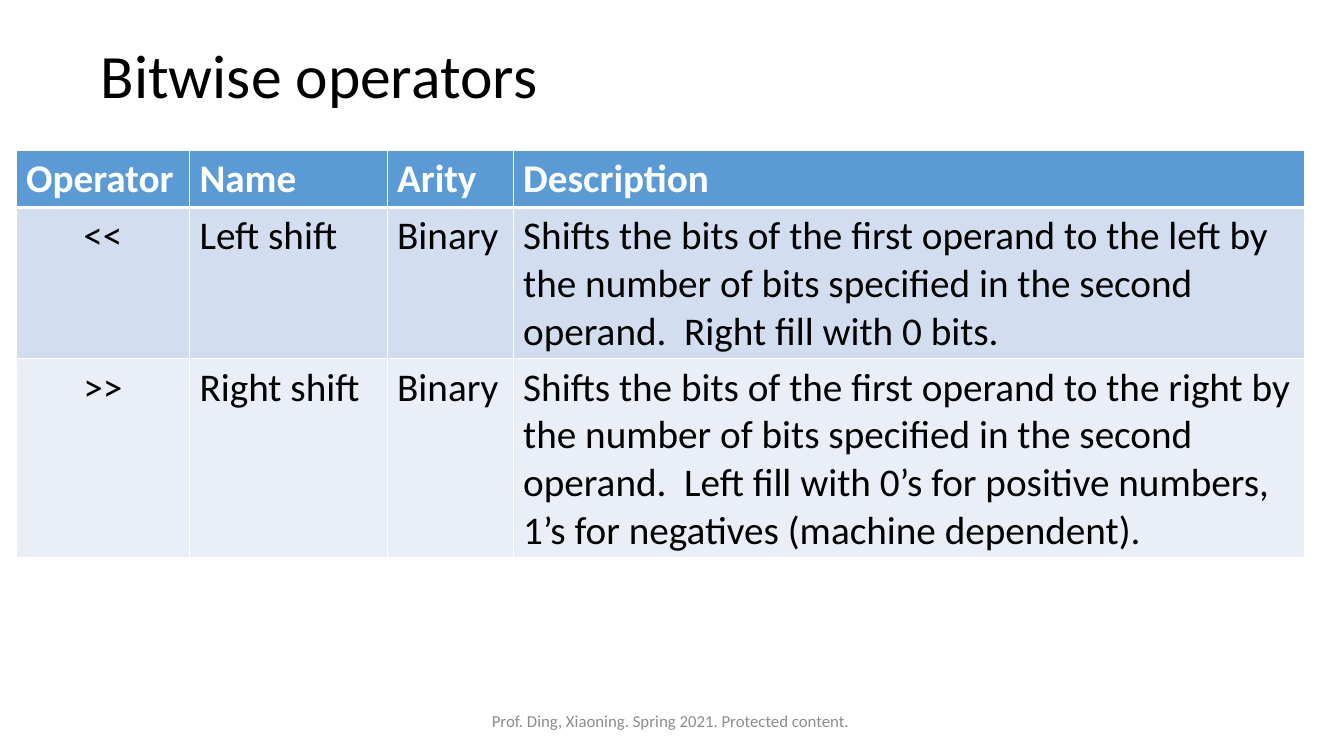
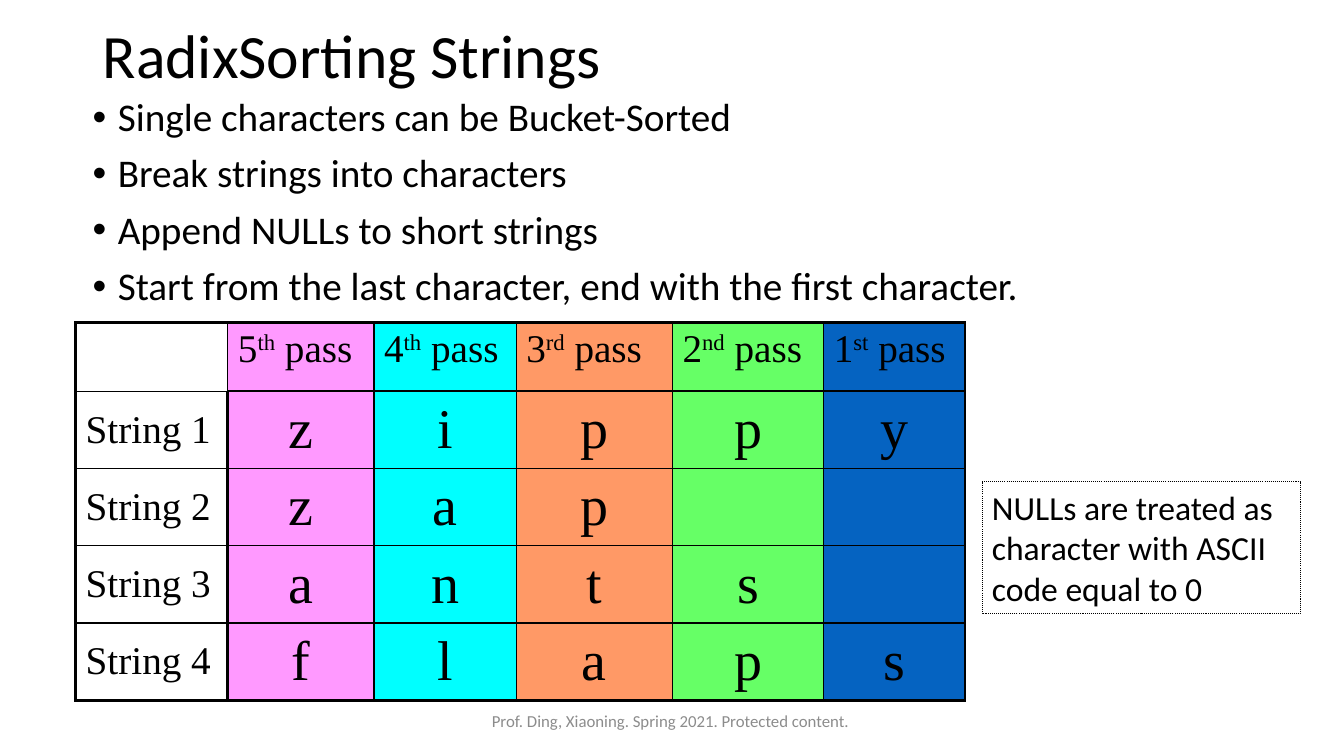
from pptx import Presentation
from pptx.dml.color import RGBColor
from pptx.enum.dml import MSO_LINE
from pptx.enum.shapes import MSO_SHAPE
from pptx.enum.text import MSO_ANCHOR, PP_ALIGN
from pptx.oxml.ns import qn
from pptx.util import Inches, Pt
from lxml.etree import SubElement

BLACK, WHITE, GREY = "000000", "FFFFFF", "8C8C8C"
HEADER_BLUE, BAND_DARK, BAND_LIGHT = "5B9BD5", "D2DEEF", "EAEFF7"
PASS_COLORS = ["FF99FF", "00FFFF", "FF9966", "66FF66", "0563C1"]
SANS, SERIF = "Calibri", "Times New Roman"
FOOTER = "Prof. Ding, Xiaoning. Spring 2021. Protected content. "
FOOTER_BOX = (4.42, 6.95, 4.5, 0.4)
TITLE_FORMAT = {"size": Pt(44), "name": SANS}
BODY_FORMAT = {"size": Pt(28), "name": SANS}
SERIF_FORMAT = {"size": Pt(28), "name": SERIF}
LETTER_FORMAT = {"size": Pt(40), "name": SERIF}
NOTE_FORMAT = {"size": Pt(24), "name": SANS}
FOOTER_FORMAT = {"size": Pt(12), "name": SANS}
THIN, HEAVY, HEADER_RULE = 1, 2.25, 3


def rgb(value):
    """Turn a hex string into a colour."""
    return RGBColor.from_string(value)


def apply_format(target, values):
    """Set every attribute named in a dict of format values."""
    for name, value in values.items():
        setattr(target, name, value)


def add_span(para, text, font, color=BLACK, raised=False):
    """Append one run of text, optionally as superscript."""
    span = para.add_run()
    span.text = text
    apply_format(span.font, font)
    span.font.color.rgb = rgb(color)
    if raised:
        span.font._element.set("baseline", "30000")


def add_text(page, box, text, font, color=BLACK, spacing=None, align=PP_ALIGN.LEFT):
    """Place a single paragraph, centred vertically in its box."""
    frame = page.shapes.add_textbox(*map(Inches, box)).text_frame
    apply_format(frame, {"word_wrap": True, "vertical_anchor": MSO_ANCHOR.MIDDLE})
    para = frame.paragraphs[0]
    apply_format(para, {"alignment": align, "line_spacing": spacing})
    add_span(para, text, font, color)


def add_page(deck, title, title_box):
    """Add a slide with the shared title style and footer."""
    page = deck.slides.add_slide(deck.slide_layouts[6])
    add_text(page, title_box, title, TITLE_FORMAT, spacing=0.9)
    add_text(page, FOOTER_BOX, FOOTER, FOOTER_FORMAT, GREY, align=PP_ALIGN.CENTER)
    return page


def add_bullets(page, box, lines):
    """Place a bulleted list with hanging indents."""
    frame = page.shapes.add_textbox(*map(Inches, box)).text_frame
    frame.word_wrap = True
    for index, line in enumerate(lines):
        para = frame.add_paragraph() if index else frame.paragraphs[0]
        apply_format(para, {"line_spacing": 0.9, "space_before": Pt(10)})
        properties = para._p.get_or_add_pPr()
        properties.set("marL", str(Inches(0.25)))
        properties.set("indent", str(Inches(-0.25)))
        SubElement(properties, qn("a:buFont"), typeface="Arial")
        SubElement(properties, qn("a:buChar"), char="•")
        add_span(para, line, BODY_FORMAT)


def add_grid(page, box, widths, heights):
    """Add a table with the given column widths and row heights."""
    shape = page.shapes.add_table(len(heights), len(widths), *map(Inches, box))
    table = shape.table
    apply_format(table, {"first_row": False, "horz_banding": False})
    for column, width in zip(table.columns, widths):
        column.width = Inches(width)
    for row, height in zip(table.rows, heights):
        row.height = Inches(height)
    return table


def style_cell(cell, fill, border_color, left, right, top, bottom):
    """Draw the four borders of a cell, then its fill."""
    properties = cell._tc.get_or_add_tcPr()
    for edge, width in zip("LRTB", (left, right, top, bottom)):
        line = SubElement(properties, qn(f"a:ln{edge}"), w=str(Pt(width)))
        paint = SubElement(line, qn("a:solidFill"))
        SubElement(paint, qn("a:srgbClr"), val=border_color)
    if fill:
        cell.fill.solid()
        cell.fill.fore_color.rgb = rgb(fill)
    else:
        cell.fill.background()


def add_operator_table(page, box, rows):
    """Place the banded table of operators under a blue header."""
    table = add_grid(page, box, [1.72, 1.96, 1.25, 7.85], [0.43, 1.13, 1.83])
    fills = [HEADER_BLUE, BAND_DARK, BAND_LIGHT]
    for r, (texts, fill) in enumerate(zip(rows, fills)):
        header = r == 0
        for c, text in enumerate(texts):
            cell = table.cell(r, c)
            style_cell(cell, fill, WHITE, THIN, THIN,
                       HEADER_RULE if r == 1 else THIN,
                       HEADER_RULE if header else THIN)
            para = cell.text_frame.paragraphs[0]
            if c == 0 and not header:
                para.alignment = PP_ALIGN.CENTER
            add_span(para, text, {**BODY_FORMAT, "bold": header},
                     WHITE if header else BLACK)


def add_radix_table(page, box, ordinals, words):
    """Place the strings with one coloured column for each sorting pass."""
    table = add_grid(page, box, [1.51, 1.45, 1.41, 1.55, 1.5, 1.4],
                     [0.68] + [0.69] * len(words))
    last_row, last_column = len(words), len(ordinals)
    for r in range(last_row + 1):
        for c in range(last_column + 1):
            cell = table.cell(r, c)
            style_cell(cell, PASS_COLORS[c - 1] if c else None, BLACK,
                       HEAVY if c == 0 or (c == 1 and r) else THIN,
                       HEAVY if c == last_column or (c == 0 and r) else THIN,
                       HEAVY if r == 0 or (r == 1 and c) else THIN,
                       HEAVY if r == last_row or (r == 0 and c) else THIN)
            para = cell.text_frame.paragraphs[0]
            if r:
                cell.vertical_anchor = MSO_ANCHOR.MIDDLE
            if r and c == 0:
                add_span(para, f"String {r}", SERIF_FORMAT)
            elif r and c <= len(words[r - 1]):
                para.alignment = PP_ALIGN.CENTER
                add_span(para, words[r - 1][c - 1], LETTER_FORMAT)
            elif c and r == 0:
                ordinal = ordinals[c - 1]
                add_span(para, ordinal[0], SERIF_FORMAT)
                add_span(para, ordinal[1:], SERIF_FORMAT, raised=True)
                add_span(para, " pass", SERIF_FORMAT)


def add_note(page, box, text):
    """Place a remark in a dotted frame."""
    note = page.shapes.add_shape(MSO_SHAPE.RECTANGLE, *map(Inches, box))
    note.shadow.inherit = False
    note.fill.background()
    note.line.color.rgb = rgb(BLACK)
    apply_format(note.line, {"width": Pt(0.75), "dash_style": MSO_LINE.ROUND_DOT})
    frame = note.text_frame
    apply_format(frame, {"word_wrap": True, "vertical_anchor": MSO_ANCHOR.TOP})
    frame.paragraphs[0].alignment = PP_ALIGN.LEFT
    add_span(frame.paragraphs[0], text, NOTE_FORMAT)


def build_operators(deck):
    """Build the slide on shift operators."""
    page = add_page(deck, "Bitwise operators", (0.9, 0.05, 11.5, 1.45))
    shift = "Shifts the bits of the first operand to the {} by the number of bits specified in the second operand.  {}"
    add_operator_table(page, (0.16, 1.49, 12.78, 3.39), [
        ("Operator", "Name", "Arity", "Description"),
        ("<<", "Left shift", "Binary", shift.format("left", "Right fill with 0 bits.")),
        (">>", "Right shift", "Binary", shift.format(
            "right", "Left fill with 0’s for positive numbers, 1’s for negatives (machine dependent).")),
    ])


def build_radix_sorting(deck):
    """Build the slide on radix sorting of strings."""
    page = add_page(deck, "RadixSorting Strings", (0.92, 0.09, 11.5, 0.99))
    add_bullets(page, (0.82, 0.92, 11.68, 2.31), [
        "Single characters can be Bucket-Sorted",
        "Break strings into characters",
        "Append NULLs to short strings",
        "Start from the last character, end with the first character.",
    ])
    add_radix_table(page, (0.75, 3.2, 8.82, 3.44),
                    ["5th", "4th", "3rd", "2nd", "1st"],
                    ["zippy", "zap", "ants", "flaps"])
    add_note(page, (9.74, 4.78, 3.16, 1.31),
             "NULLs are treated as character with ASCII code equal to 0")


def main():
    """Build and save the deck."""
    deck = Presentation()
    apply_format(deck, {"slide_width": Inches(13.33), "slide_height": Inches(7.5)})
    build_operators(deck)
    build_radix_sorting(deck)
    deck.save("out.pptx")


main()
